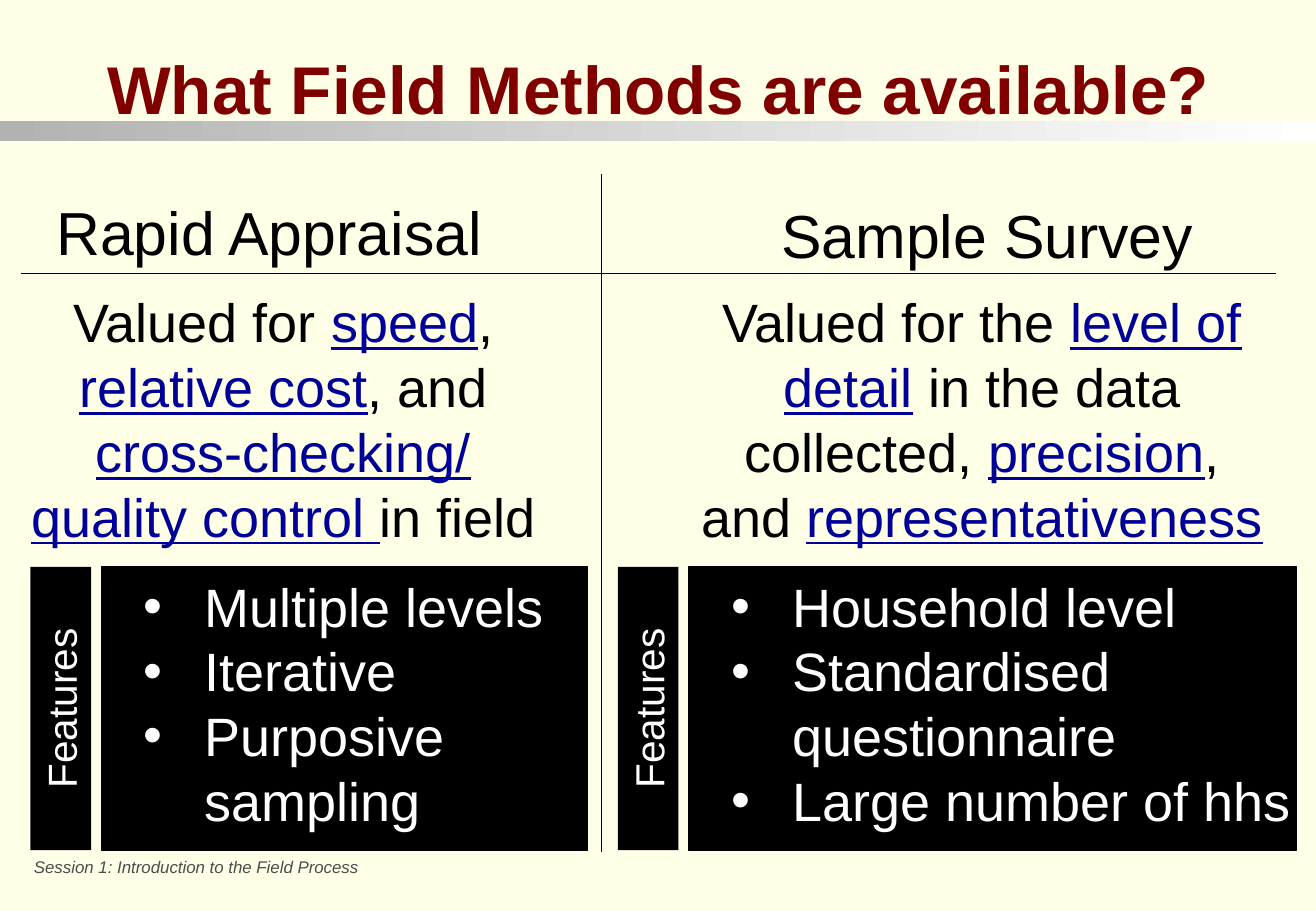
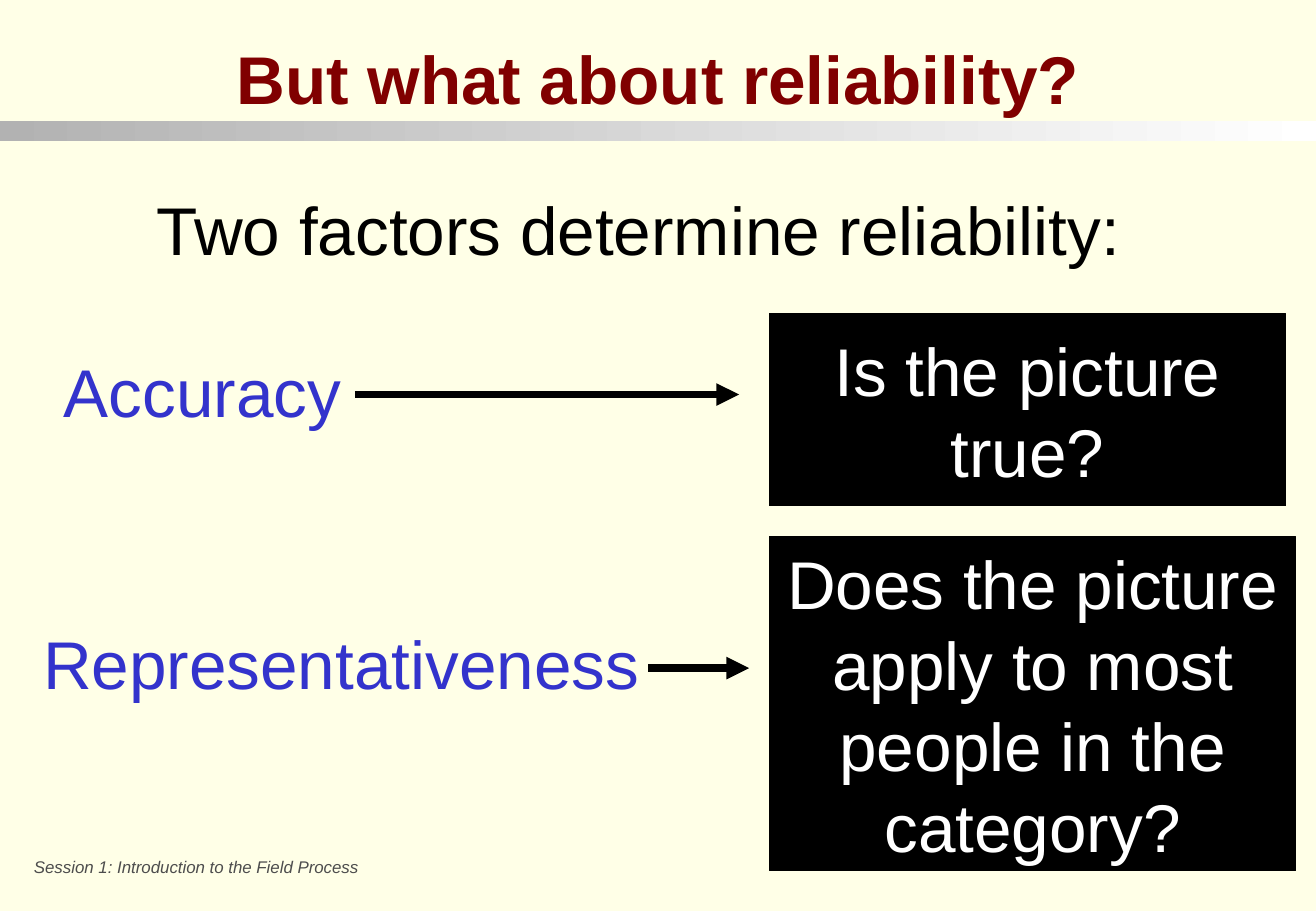
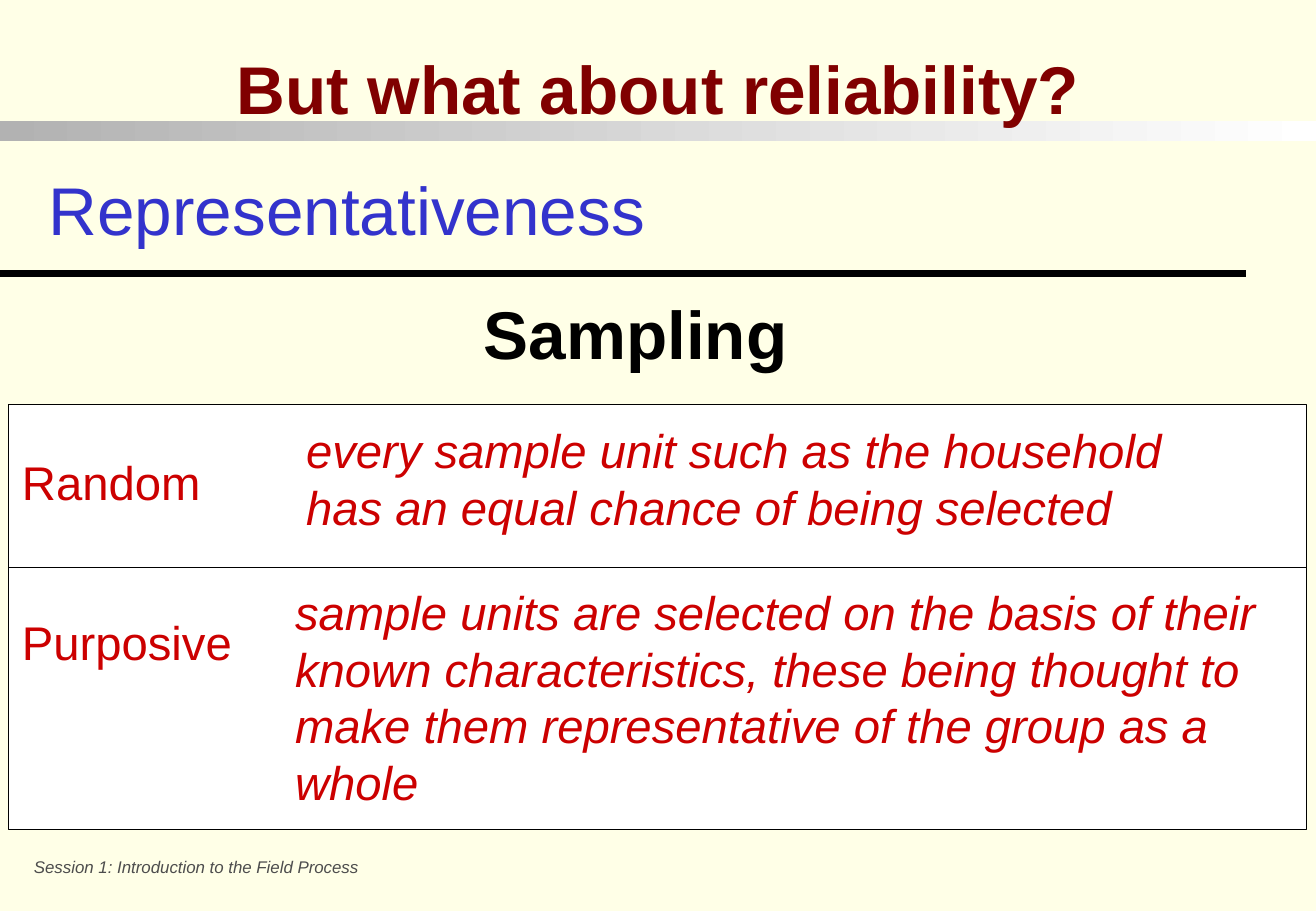
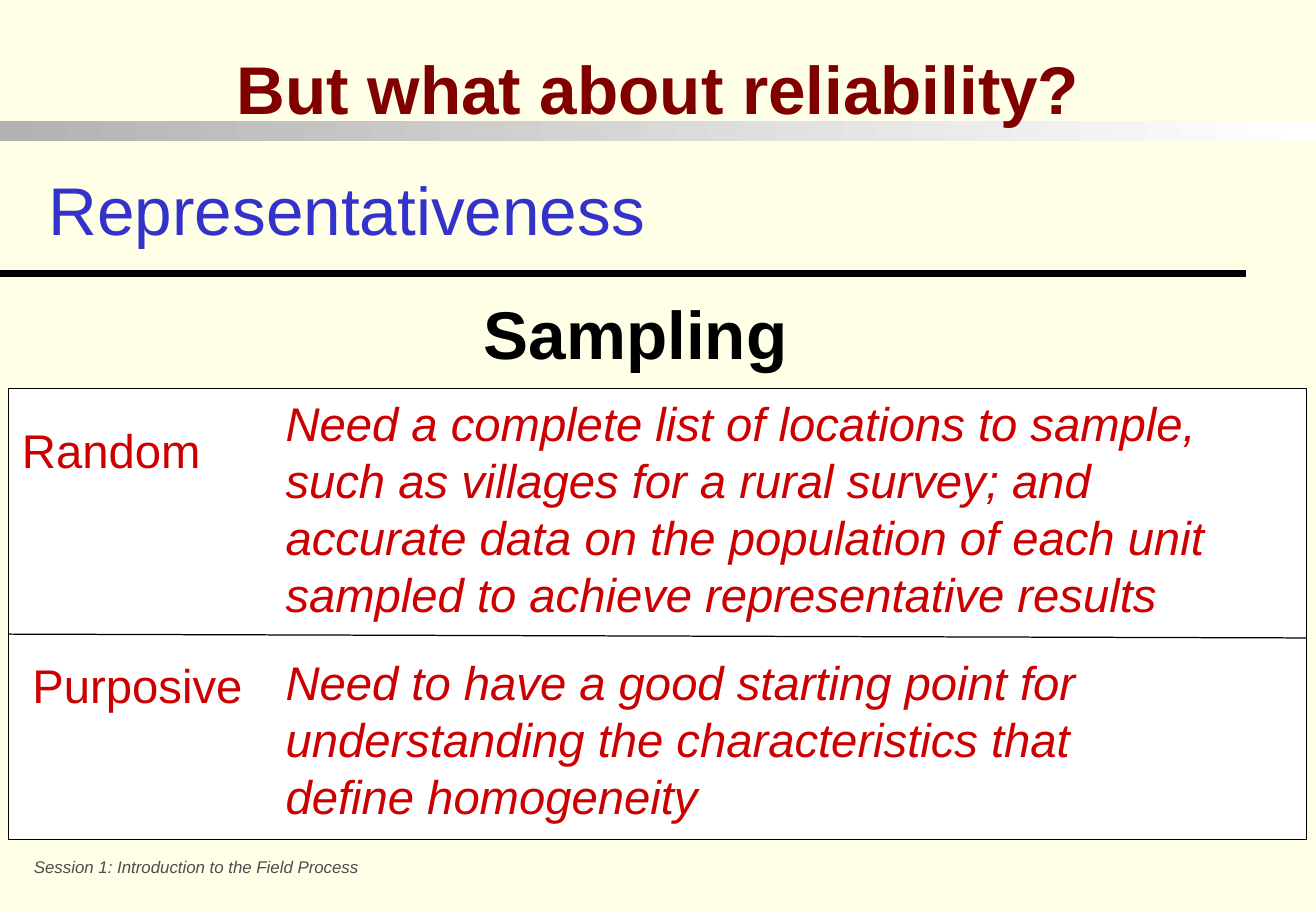
from lxml.etree import SubElement
from pptx import Presentation
from pptx.dml.color import RGBColor
from pptx.enum.shapes import MSO_CONNECTOR, MSO_SHAPE
from pptx.enum.text import MSO_ANCHOR, MSO_AUTO_SIZE, PP_ALIGN
from pptx.oxml.ns import qn
from pptx.util import Cm, Pt

CREAM = RGBColor(0xFF, 0xFF, 0xE7)
BLACK = RGBColor(0, 0, 0)
WHITE = RGBColor(0xFF, 0xFF, 0xFF)
SILVER = RGBColor(0xB2, 0xB2, 0xB2)
GREY = RGBColor(0x4D, 0x4D, 0x4D)
MAROON = RGBColor(0x80, 0, 0)
NAVY = RGBColor(0, 0, 0x99)
BLUE = RGBColor(0x33, 0x33, 0xCC)
RED = RGBColor(0xCC, 0, 0)
FONT = "Arial"
WIDTH, HEIGHT = 27.51, 19.05
LEFT, CENTER = PP_ALIGN.LEFT, PP_ALIGN.CENTER


def add_block(slide, at, paragraphs=(), size=40, color=BLACK, align=LEFT,
              bold=False, italic=False, wrap=True, anchor=MSO_ANCHOR.TOP,
              fill=None, outline=BLACK):
    """Add a text box, or a filled rectangle; every second run is stressed."""
    place = [Cm(length) for length in at]
    if fill is None:
        block = slide.shapes.add_textbox(*place)
    else:
        block = slide.shapes.add_shape(MSO_SHAPE.RECTANGLE, *place)
        block.shadow.inherit = False
        block.fill.solid()
        block.fill.fore_color.rgb = fill
        if outline is None:
            block.line.fill.background()
        else:
            block.line.color.rgb = outline
            block.line.width = Pt(0.75)
    frame = block.text_frame
    frame.word_wrap = wrap
    frame.vertical_anchor = anchor
    frame.auto_size = MSO_AUTO_SIZE.SHAPE_TO_FIT_TEXT if fill is None else MSO_AUTO_SIZE.NONE
    for number, runs in enumerate(paragraphs):
        paragraph = frame.add_paragraph() if number else frame.paragraphs[0]
        paragraph.alignment = align
        for position, words in enumerate(runs):
            stressed = position % 2 == 1
            run = paragraph.add_run()
            run.text = words
            run.font.name = FONT
            run.font.size = Pt(size)
            run.font.bold = bold
            run.font.italic = italic
            run.font.underline = stressed
            run.font.color.rgb = NAVY if stressed else color
    return block


def add_rule(slide, x1, y1, x2, y2, weight=0.75, arrow=False):
    """Add a straight black line, with an arrowhead at its end if asked."""
    rule = slide.shapes.add_connector(
        MSO_CONNECTOR.STRAIGHT, Cm(x1), Cm(y1), Cm(x2), Cm(y2))
    rule.line.color.rgb = BLACK
    rule.line.width = Pt(weight)
    if arrow:
        SubElement(rule.line._get_or_add_ln(), qn("a:tailEnd"), type="triangle")
    SubElement(rule._element.spPr, qn("a:effectLst"))


deck = Presentation()
deck.slide_width, deck.slide_height = Cm(WIDTH), Cm(HEIGHT)
deck.slide_master.background.fill.solid()
deck.slide_master.background.fill.fore_color.rgb = CREAM

# Shared title, band and footer
RELIABILITY = "But what about reliability?"
slides = []
for title, title_top in [("What Field Methods are available?", 0.85),
                         (RELIABILITY, 0.64), (RELIABILITY, 0.85), (RELIABILITY, 0.85)]:
    slide = deck.slides.add_slide(deck.slide_layouts[6])
    band = add_block(slide, (0, 2.54, WIDTH, 0.42), fill=SILVER, outline=None)
    band.fill.gradient()
    band.fill.gradient_angle = 0
    for stop, shade in zip(band.fill.gradient_stops, (SILVER, WHITE)):
        stop.color.rgb = shade
    add_block(slide, (0.21, title_top, 27.1, 1.95), [[title]], color=MAROON,
              align=CENTER, bold=True)
    add_block(slide, (0.46, 17.78, 7.6, 0.68),
              [["Session 1: Introduction to the Field Process"]],
              size=10, color=GREY, italic=True)
    slides.append(slide)
methods, factors, definitions, needs = slides

# Field methods, one column each
columns = [
    ("Rapid Appraisal", (0.89, 3.94, 9.47, 1.78),
     ["Valued for ", "speed", ", ", "relative cost", ", and ",
      "cross-checking/ quality control ", "in field"], (0, 5.92, 11.86, 5.66),
     ["Multiple levels", "Iterative", "Purposive sampling"], 2.12, 10.16),
    ("Sample Survey", (16.08, 4.01, 9.12, 1.78),
     ["Valued for the ", "level of detail", " in the data collected, ",
      "precision", ", and ", "representativeness"], (14.4, 5.92, 12.27, 5.66),
     ["Household level", "Standardised questionnaire", "Large number of hhs"], 14.4, 12.7),
]
for method, method_at, value, value_at, features, left, width in columns:
    add_block(methods, method_at, [[method]], size=36, align=CENTER, wrap=False)
    add_block(methods, value_at, [value], size=32, align=CENTER, anchor=MSO_ANCHOR.MIDDLE)
    panel = add_block(methods, (left, 11.86, width, 5.92),
                      [[feature] for feature in features],
                      size=32, color=WHITE, fill=BLACK)
    panel.text_frame.margin_left, panel.text_frame.margin_right = Cm(0.89), Cm(0)
    for paragraph in panel.text_frame.paragraphs:
        properties = paragraph._p.get_or_add_pPr()
        properties.set("marL", str(Cm(1.27)))
        properties.set("indent", str(Cm(-1.27)))
        SubElement(properties, qn("a:buFont"), typeface=FONT)
        SubElement(properties, qn("a:buChar"), char="•")
    side_label = add_block(methods, (left - 3.81, 14.18, 5.92, 1.27), [["Features"]],
                           size=24, color=WHITE, align=CENTER, fill=BLACK, outline=None)
    side_label.rotation = 270
add_rule(methods, 0.43, 5.72, 26.67, 5.72)
add_rule(methods, 12.57, 3.63, 12.57, 17.81)

# Two factors of reliability
add_block(factors, (2.97, 3.81, 20.75, 1.95), [["Two factors determine reliability:"]],
          align=CENTER, wrap=False)
for factor, factor_at, arrow, question, question_at in [
    ("Accuracy", (1.07, 7.19, 6.32, 1.95), (7.42, 8.25, 15.45),
     "Is the picture true?", (16.08, 6.56, 10.8, 4.02)),
    ("Representativeness", (0.64, 12.88, 12.98, 1.95), (13.55, 13.97, 15.66),
     "Does the picture apply to most people in the category?",
     (16.08, 11.22, 11.01, 6.99)),
]:
    add_block(factors, factor_at, [[factor]], color=BLUE, align=CENTER, wrap=False)
    start, level, end = arrow
    add_rule(factors, start, level, end, level, weight=4.5, arrow=True)
    add_block(factors, question_at, [[question]], color=WHITE, align=CENTER,
              anchor=MSO_ANCHOR.MIDDLE, fill=BLACK)

# Sampling: what each kind means, then what it needs
sampling = [
    (definitions, (8.46, 8.89), (11.86, 11.86), [
        ("Random", (0.21, 9.35),
         "every sample unit such as the household has an equal chance of being selected",
         (6.15, 8.69, 19.63, 2.62)),
        ("Purposive", (0.21, 12.7),
         "sample units are selected on the basis of their known characteristics, these "
         "being thought to make them representative of the group as a whole",
         (5.92, 12.07, 20.9, 5)),
    ]),
    (needs, (8.13, 9.42), (13.26, 13.34), [
        ("Random", (0.21, 8.69),
         "Need a complete list of locations to sample, such as villages for a rural survey; "
         "and accurate data on the population of each unit sampled to achieve "
         "representative results",
         (5.72, 8.13, 20.52, 5)),
        ("Purposive", (0.43, 13.59),
         "Need to have a good starting point for understanding the characteristics that "
         "define homogeneity",
         (5.72, 13.54, 18.42, 3.81)),
    ]),
]
for slide, (top, height), (divider_start, divider_end), kinds in sampling:
    add_block(slide, (0.18, top, 27.13, height), fill=WHITE)
    add_block(slide, (0.76, 3.38, 12.98, 1.95), [["Representativeness"]],
              color=BLUE, align=CENTER, wrap=False)
    add_rule(slide, 0, 5.72, 26.04, 5.72, weight=4.5)
    add_block(slide, (9.86, 5.99, 6.86, 1.95), [["Sampling"]],
              align=CENTER, bold=True, wrap=False)
    for kind, kind_at, meaning, meaning_at in kinds:
        add_block(slide, (*kind_at, 5.28, 1.45), [[kind]], size=28, color=RED)
        add_block(slide, meaning_at, [[meaning]], size=28, color=RED, italic=True)
    add_rule(slide, 0.18, divider_start, 27.31, divider_end)

deck.save("out.pptx")
